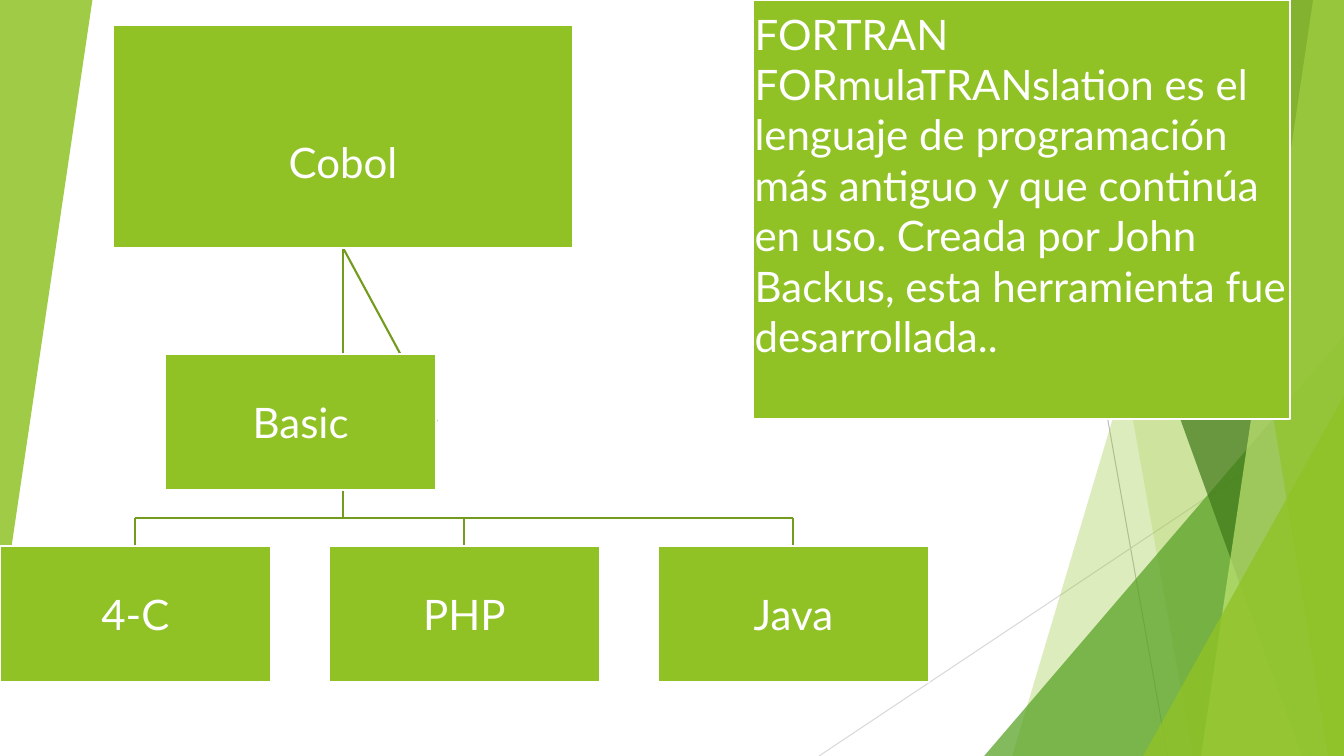
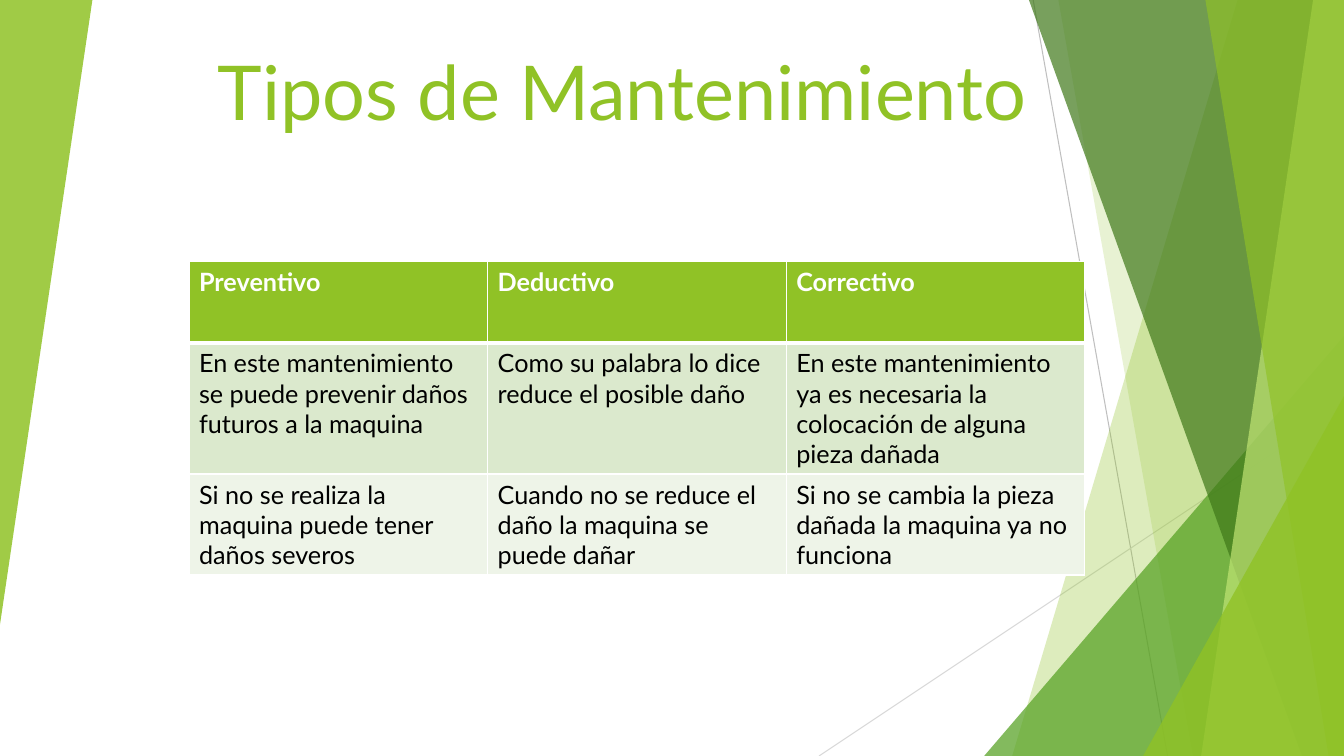
from lxml.etree import SubElement
from pptx import Presentation
from pptx.dml.color import RGBColor
from pptx.enum.shapes import MSO_CONNECTOR, MSO_SHAPE
from pptx.enum.text import MSO_ANCHOR, PP_ALIGN
from pptx.oxml.ns import qn
from pptx.util import Pt

WIDTH, HEIGHT = 960, 540
FONT = "Lato"
COLORS = {
    "green": "90C226",
    "leaf": "54A021",
    "forest": "3F7819",
    "lime": "C0E474",
    "branch": "739B1E",
    "white": "FFFFFF",
    "black": "000000",
    "gray": "BFBFBF",
    "light gray": "D9D9D9",
    "odd row": "DBE9CD",
    "even row": "EEF4E8",
}
TITLE_ONLY, BLANK = 5, 6


def rgb(name):
    return RGBColor.from_string(COLORS[name])


def style_paragraph(paragraph, size, color, bold=False, alignment=PP_ALIGN.LEFT):
    paragraph.alignment = alignment
    font = paragraph.font
    font.name, font.size, font.bold = FONT, Pt(size), bold
    font.color.rgb = rgb(color)


def add_line(slide, start, end, color, width):
    line = slide.shapes.add_connector(
        MSO_CONNECTOR.STRAIGHT, *(Pt(length) for length in (*start, *end)))
    line.line.color.rgb = rgb(color)
    line.line.width = Pt(width)
    SubElement(line._element.spPr, qn("a:effectLst"))


def paint_facet(shape, color, opacity):
    """Fill a shape with a see-through colour, without outline or shadow."""
    shape.shadow.inherit = False
    shape.line.fill.background()
    shape.fill.solid()
    shape.fill.fore_color.rgb = rgb(color)
    color_element = shape._element.spPr.find(qn("a:solidFill"))[0]
    SubElement(color_element, qn("a:alpha"), val=str(opacity * 1000))


def add_band(slide, top_left, bottom_left, color, opacity):
    """Add a full-height band from a slanted left edge to the slide's right edge."""
    builder = slide.shapes.build_freeform(Pt(top_left), 0)
    corners = [(WIDTH, 0), (WIDTH, HEIGHT), (bottom_left, HEIGHT)]
    builder.add_line_segments([(Pt(x), Pt(y)) for x, y in corners])
    paint_facet(builder.convert_to_shape(), color, opacity)


def add_corner(slide, box, color, opacity, rotation=0):
    """Add a right triangle whose tip is above its right end."""
    corner = slide.shapes.add_shape(
        MSO_SHAPE.ISOSCELES_TRIANGLE, *(Pt(length) for length in box))
    corner.adjustments[0] = 1
    corner.rotation = rotation
    paint_facet(corner, color, opacity)


def add_facets(slide):
    add_line(slide, (738, 0), (834, HEIGHT), "gray", 0.75)
    add_line(slide, (WIDTH, 290), (585, HEIGHT), "light gray", 0.75)
    add_band(slide, 884, 723, "green", 30)
    add_band(slide, 756, 852, "green", 20)
    add_corner(slide, (703, 240, 257, 300), "leaf", 72)
    add_band(slide, 735, 930, "forest", 70)
    add_band(slide, 938, 858, "lime", 70)
    add_band(slide, 861, 949, "green", 65)
    add_corner(slide, (816.5, 283, 143.5, 257), "green", 80)
    add_corner(slide, (0, 0, 66, 446), "green", 85, rotation=180)


def add_node(slide, box, text, alignment=PP_ALIGN.CENTER, top=1.5, bottom=1.5):
    node = slide.shapes.add_shape(
        MSO_SHAPE.RECTANGLE, *(Pt(length) for length in box))
    node.shadow.inherit = False
    node.fill.solid()
    node.fill.fore_color.rgb = rgb("green")
    node.line.color.rgb = rgb("white")
    node.line.width = Pt(1.5)
    frame = node.text_frame
    frame.word_wrap = True
    frame.vertical_anchor = MSO_ANCHOR.MIDDLE
    frame.margin_left = frame.margin_right = Pt(1.5)
    frame.margin_top, frame.margin_bottom = Pt(top), Pt(bottom)
    frame.text = text
    for paragraph in frame.paragraphs:
        style_paragraph(paragraph, 30, "white", alignment=alignment)


def add_language_tree(slide, left, top):
    node_width, node_height, pitch = 193.5, 97, 235
    root_left, root_width, root_height = left + 81, 328, 159
    trunk = root_left + root_width / 2
    root_bottom = top + root_height
    middle_top, leaf_top = top + 235, top + 372
    bus = leaf_top - 20
    leaves = [(left + index * pitch, name)
              for index, name in enumerate(("4-C", "PHP", "Java"))]
    centers = [leaf_left + node_width / 2 for leaf_left, _ in leaves]

    branches = [
        ((trunk, root_bottom), (trunk + 67, root_bottom + 124)),
        ((trunk, root_bottom), (trunk, bus)),
        ((centers[0], bus), (centers[-1], bus)),
    ]
    branches += [((center, bus), (center, leaf_top)) for center in centers]
    for start, end in branches:
        add_line(slide, start, end, "branch", 1.5)

    add_node(slide, (root_left, top, root_width, root_height), "Cobol", top=37.5)
    add_node(slide, (left + 118, middle_top, node_width, node_height), "Basic")
    for leaf_left, name in leaves:
        add_node(slide, (leaf_left, leaf_top, node_width, node_height), name)


def add_title(slide, box, text):
    title = slide.shapes.title
    title.left, title.top, title.width, title.height = (Pt(length) for length in box)
    frame = title.text_frame
    frame.text = text
    frame.word_wrap = False
    frame.vertical_anchor = MSO_ANCHOR.MIDDLE
    style_paragraph(frame.paragraphs[0], 54, "green", alignment=PP_ALIGN.CENTER)


def set_borders(cell, bottom_width, top_width):
    properties = cell._tc.get_or_add_tcPr()
    widths = {"a:lnL": 1, "a:lnR": 1, "a:lnT": top_width, "a:lnB": bottom_width}
    for tag, width in widths.items():
        border = SubElement(properties, qn(tag), w=str(Pt(width)))
        fill = SubElement(border, qn("a:solidFill"))
        SubElement(fill, qn("a:srgbClr"), val=COLORS["white"])


def add_maintenance_table(slide, box, rows):
    table = slide.shapes.add_table(
        len(rows), len(rows[0]), *(Pt(length) for length in box)).table
    fills = ("green", "odd row", "even row")
    for row_index, texts in enumerate(rows):
        header = row_index == 0
        for column_index, text in enumerate(texts):
            cell = table.cell(row_index, column_index)
            set_borders(cell, bottom_width=3 if header else 1,
                        top_width=3 if row_index == 1 else 1)
            cell.fill.solid()
            cell.fill.fore_color.rgb = rgb(fills[row_index])
            cell.text = text
            style_paragraph(cell.text_frame.paragraphs[0], 18,
                            "white" if header else "black", bold=header)


def add_languages_slide(presentation):
    slide = presentation.slides.add_slide(presentation.slide_layouts[BLANK])
    add_facets(slide)
    add_language_tree(slide, 0, 18)
    add_node(
        slide, (537.5, 0, 384, 299.5),
        "FORTRAN\nFORmulaTRANslation es el lenguaje de programación más antiguo "
        "y que continúa en uso. Creada por John Backus, esta herramienta fue "
        "desarrollada..",
        alignment=PP_ALIGN.LEFT, bottom=37.5)


def add_maintenance_slide(presentation):
    slide = presentation.slides.add_slide(presentation.slide_layouts[TITLE_ONLY])
    add_facets(slide)
    add_title(slide, (145, 28, 599, 73), "Tipos de Mantenimiento")
    add_maintenance_table(slide, (135, 187, 640, 174), [
        ("Preventivo", "Deductivo", "Correctivo"),
        ("En este mantenimiento se puede prevenir daños futuros a la maquina",
         "Como su palabra lo dice reduce el posible daño",
         "En este mantenimiento ya es necesaria la colocación de alguna pieza dañada"),
        ("Si no se realiza la maquina puede tener daños severos",
         "Cuando no se reduce el daño la maquina se puede dañar",
         "Si no se cambia la pieza dañada la maquina ya no funciona"),
    ])


def main():
    presentation = Presentation()
    presentation.slide_width, presentation.slide_height = Pt(WIDTH), Pt(HEIGHT)
    add_languages_slide(presentation)
    add_maintenance_slide(presentation)
    presentation.save("out.pptx")


if __name__ == "__main__":
    main()
